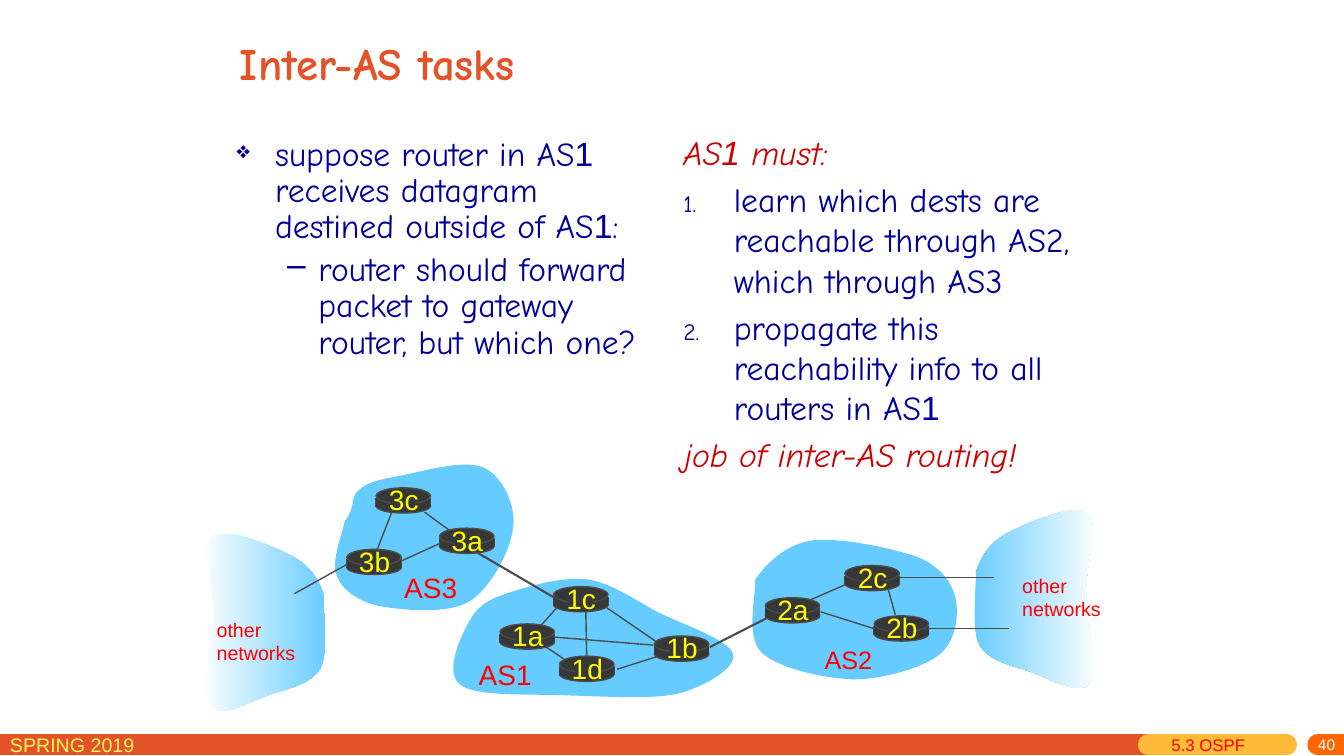
"""Builds the "Inter-AS tasks" slide, laid out on a grid of one-inch cells."""
from dataclasses import dataclass
from itertools import chain
from typing import NamedTuple

from lxml import etree
from pptx import Presentation, util as u
from pptx.dml import color as dml
from pptx.enum import shapes as kinds, text as layout
from pptx.oxml import ns

CELL = u.Inches(1)
COLUMNS, ROWS = 13.33, 7.5


@dataclass(frozen=True)
class Theme:
    heading: str = "E45327"
    body: str = "000099"
    accent: str = "CC0000"
    label: str = "FF0000"
    cloud: str = "66CCFF"
    white: str = "FFFFFF"
    router: str = "373737"
    router_label: str = "FFFF00"
    link: str = "4C4C4C"
    bar_section: str = "FFBA37"
    bar_number: str = "FF6600"
    term: str = "FFF65C"
    hand: str = "Comic Neue"
    plain: str = "Arial"
    title_size: float = 32
    body_size: float = 24
    name_size: float = 20
    small_name_size: float = 18
    note_size: float = 14
    section_size: float = 12
    number_size: float = 11
    bar_width: float = 15


THEME = Theme()


class Span(NamedTuple):
    text: str
    color: str
    size: float
    font: str = THEME.plain
    italic: bool = False
    bold: bool = False


class Item(NamedTuple):
    spans: list[Span]
    margin: float = 0
    hang: float = 0
    bullet: str = ""
    bullet_share: int = 100
    level: int = 0
    spacing: float = 1.0


class Router(NamedTuple):
    name: str
    column: float
    row: float


class Link(NamedTuple):
    start: tuple[float, float]
    end: tuple[float, float]
    width: float = 1
    color: str = THEME.link
    cap: str = "flat"


class Cloud(NamedTuple):
    points: list[tuple[float, float]]
    stops: tuple[str, ...] = (THEME.cloud,)


class Label(NamedTuple):
    lines: list[str]
    column: float
    row: float
    width: float
    height: float
    size: float = THEME.name_size
    color: str = THEME.label
    align: layout.PP_ALIGN = layout.PP_ALIGN.LEFT


def body(text: str, font: str = THEME.hand) -> Span:
    """Return a span of body text."""
    return Span(text, THEME.body, THEME.body_size, font)


def stress(text: str, font: str = THEME.hand) -> Span:
    """Return a span of stressed body text."""
    return Span(text, THEME.accent, THEME.body_size, font, italic=True)


EAST = [(9.68, 5.67), (9.74, 5.51), (9.81, 5.39), (9.99, 5.29), (10.18, 5.19), (10.65, 4.99), (10.78, 5.09),
        (10.91, 5.18), (10.77, 5.59), (10.77, 5.87), (10.78, 6.16), (10.89, 6.65), (10.8, 6.78),
        (10.71, 6.91), (10.39, 6.72), (10.21, 6.66), (10.03, 6.6), (9.8, 6.56), (9.71, 6.39),
        (9.63, 6.23), (9.69, 5.82), (9.68, 5.67)]
WEST = [(12.89 - column, row + 0.23) for column, row in EAST]
AS2 = [(7.49, 5.75), (7.6, 5.59), (7.79, 5.4), (8.06, 5.36), (8.33, 5.33), (8.87, 5.44), (9.11, 5.53),
       (9.34, 5.63), (9.45, 5.79), (9.48, 5.95), (9.51, 6.11), (9.48, 6.37), (9.31, 6.5),
       (9.14, 6.63), (8.75, 6.74), (8.46, 6.74), (8.17, 6.73), (7.71, 6.63), (7.55, 6.47),
       (7.39, 6.31), (7.5, 5.9), (7.49, 5.75)]
AS3 = [(3.42, 5.17), (3.53, 5.04), (3.47, 4.93), (3.56, 4.86), (3.65, 4.78), (3.76, 4.76), (3.97, 4.72),
       (4.18, 4.68), (4.61, 4.55), (4.8, 4.64), (4.98, 4.72), (5.12, 5.01), (5.09, 5.23),
       (5.07, 5.45), (4.87, 5.84), (4.65, 5.97), (4.42, 6.1), (3.97, 6.05), (3.75, 6.01),
       (3.54, 5.96), (3.39, 5.85), (3.34, 5.71), (3.28, 5.57), (3.4, 5.28), (3.42, 5.17)]
AS1 = [(4.68, 6.12), (4.78, 5.96), (4.95, 5.91), (5.14, 5.85), (5.34, 5.79), (5.61, 5.72), (5.84, 5.75),
       (6.07, 5.79), (6.28, 5.94), (6.52, 6.07), (6.76, 6.19), (7.24, 6.35), (7.27, 6.49),
       (7.31, 6.62), (7, 6.81), (6.73, 6.88), (6.47, 6.94), (6.03, 6.91), (5.66, 6.9),
       (5.3, 6.88), (4.72, 6.92), (4.56, 6.79), (4.4, 6.66), (4.58, 6.28), (4.68, 6.12)]
CLOUDS = [Cloud(EAST, (THEME.cloud, THEME.white)), Cloud(AS2), Cloud(AS3), Cloud(AS1),
          Cloud(WEST, (THEME.white, THEME.cloud))]
BARS = [Link((-0.18, 7.39), (11.39, 7.39), THEME.bar_width, THEME.heading, "rnd"),
        Link((11.39, 7.39), (12.76, 7.39), THEME.bar_width, THEME.bar_section, "rnd"),
        Link((13.07, 7.39), (13.6, 7.39), THEME.bar_width, THEME.bar_number, "rnd")]
LINKS = [Link((3.97, 5.57), (4.41, 5.37)), Link((4.47, 5.27), (4.21, 5.08)), Link((3.89, 5.07), (3.73, 5.48)),
         Link((5.53, 6.02), (5.37, 6.2)), Link((5.81, 6.06), (5.82, 6.56)), Link((5.99, 6.01), (6.53, 6.38)),
         Link((6.53, 6.51), (6.12, 6.64)), Link((6.48, 6.4), (5.49, 6.32)), Link((5.39, 6.4), (5.61, 6.55)),
         Link((7.95, 5.99), (8.43, 5.78)), Link((8.14, 6.07), (8.68, 6.24)), Link((8.81, 5.85), (8.88, 6.1)),
         Link((8.92, 5.73), (9.86, 5.73), 0.75), Link((9.2, 6.24), (10.01, 6.24), 0.75),
         Link((3.44, 5.6), (2.92, 5.89)), Link((7.04, 6.42), (7.61, 6.13), 1.5), Link((4.73, 5.48), (5.5, 5.93), 1.5)]
ROUTERS = [Router("3b", 3.44, 5.45), Router("3c", 3.73, 4.84), Router("3a", 4.36, 5.24),
           Router("1c", 5.49, 5.82), Router("1a", 4.96, 6.19), Router("1d", 5.55, 6.51), Router("1b", 6.49, 6.31),
           Router("2a", 7.59, 5.93), Router("2c", 8.38, 5.61), Router("2b", 8.67, 6.11)]
LABELS = [Label(["AS3"], 3.91, 5.61, 0.73, 0.43), Label(["AS1"], 4.65, 6.47, 0.73, 0.43),
          Label(["AS2"], 8.08, 6.34, 0.67, 0.4, THEME.small_name_size),
          Label(["other", "networks"], 10.04, 5.64, 0.99, 0.57, THEME.note_size),
          Label(["other", "networks"], 2.05, 6.08, 0.99, 0.57, THEME.note_size),
          Label(["SPRING 2019"], 0, 7.22, 2.29, 0.31, THEME.note_size, THEME.term),
          Label(["5.3 OSPF"], 11.52, 7.24, 1.05, 0.31, THEME.section_size)]
PROBLEM = [Item([body("suppose router in AS"), body("1", THEME.plain), body(" receives datagram destined outside of AS"),
                 body("1", THEME.plain), body(":")], 0.38, 0.38, "❖", 70, spacing=0.9),
           Item([body("router should forward packet to gateway router, but which one?")], 0.81, 0.31, "–", 100, 1, 0.9)]
TASKS = [Item([stress("AS"), stress("1", THEME.plain), stress(" must:")], 0.5, 0.5),
         Item([body("learn which dests are reachable through AS2, which through AS3")], 0.5, 0.5, "1.", 70),
         Item([body("propagate this reachability info to all routers in AS"), body("1", THEME.plain)], 0.5, 0.5, "1.", 70),
         Item([stress("job of inter-AS routing!")], 0.5, 0.5)]


def cells(*counts: float) -> list[int]:
    """Turn counts of grid cells into lengths."""
    return [round(count * CELL) for count in counts]


def write(para, spans: list[Span]) -> None:
    """Add spans to a paragraph run by run."""
    for span in spans:
        run = para.add_run()
        run.text, font = span.text, run.font
        font.name, font.size, font.italic, font.bold = span.font, u.Pt(span.size), span.italic, span.bold
        font.color.rgb = dml.RGBColor.from_string(span.color)


def add_items(page, items: list[Item], *area: float) -> None:
    """Add a wrapped text box of list items."""
    frame = page.shapes.add_textbox(*cells(*area)).text_frame
    frame.word_wrap = True
    for index, item in enumerate(items):
        para = frame.add_paragraph() if index else frame.paragraphs[0]
        properties = para._p.get_or_add_pPr()
        properties.set("marL", str(cells(item.margin)[0]))
        properties.set("indent", str(cells(-item.hang)[0]))
        if item.bullet:
            etree.SubElement(properties, ns.qn("a:buSzPct"), val=str(item.bullet_share * 1000))
            numbered = item.bullet == "1."
            tag, key, value = ("a:buAutoNum", "type", "arabicPeriod") if numbered else ("a:buChar", "char", item.bullet)
            etree.SubElement(properties, ns.qn(tag)).set(key, value)
        para.level, para.line_spacing = item.level, item.spacing
        para.space_before = u.Pt(0.2 * THEME.body_size if index else 0)
        write(para, item.spans)


def add_label(group, label: Label):
    """Add a short unwrapped label and return its text frame."""
    frame = group.add_textbox(*cells(label.column, label.row, label.width, label.height)).text_frame
    frame.word_wrap = False
    for index, line in enumerate(label.lines):
        para = frame.add_paragraph() if index else frame.paragraphs[0]
        para.alignment = label.align
        write(para, [Span(line, label.color, label.size)])
    return frame


def add_link(group, link: Link) -> None:
    """Add a straight line without a shadow."""
    line = group.add_connector(kinds.MSO_CONNECTOR.STRAIGHT, *cells(*link.start, *link.end))
    line.line.width = u.Pt(link.width)
    line.line.color.rgb = dml.RGBColor.from_string(link.color)
    properties = line.element.spPr
    properties.find(ns.qn("a:ln")).set("cap", link.cap)
    etree.SubElement(properties, ns.qn("a:effectLst"))


def add_cloud(page, cloud: Cloud) -> None:
    """Add a closed outline of cubic curves."""
    first, *others = [tuple(cells(*point)) for point in cloud.points]
    shape = page.shapes.build_freeform(*first).add_line_segments(others).convert_to_shape()
    segments = list(shape.element.iter(ns.qn("a:lnTo")))
    for first_control, second_control, anchor in zip(*[iter(segments)] * 3):
        first_control.tag = ns.qn("a:cubicBezTo")
        first_control.extend(list(chain(second_control, anchor)))
        for spent in (second_control, anchor):
            spent.getparent().remove(spent)
    shape.shadow.inherit = False
    shape.line.fill.background()
    if len(cloud.stops) == 1:
        shape.fill.solid()
        shape.fill.fore_color.rgb = dml.RGBColor.from_string(cloud.stops[0])
        return
    shape.fill.gradient()
    shape.fill.gradient_angle = 0
    for position, (stop, tint) in enumerate(zip(shape.fill.gradient_stops, cloud.stops)):
        stop.position, stop.color.rgb = position, dml.RGBColor.from_string(tint)


def add_router(page, router: Router) -> None:
    """Add a grouped router drum with its name."""
    group = page.shapes.add_group_shape().shapes
    left, top = router.column, router.row
    oval, block = kinds.MSO_SHAPE.OVAL, kinds.MSO_SHAPE.RECTANGLE
    parts = [(oval, 0, 0.11, 0.54, 0.14), (block, 0, 0.1, 0.54, 0.09),
             (oval, 0, 0, 0.54, 0.16), (block, 0.15, 0.02, 0.24, 0.2)]
    for side in (left, left + 0.54):
        add_link(group, Link((side, top + 0.1), (side, top + 0.19)))
    for kind, column, row, width, height in parts:
        shape = group.add_shape(kind, *cells(left + column, top + row, width, height))
        shape.shadow.inherit = False
        shape.fill.solid()
        shape.fill.fore_color.rgb = dml.RGBColor.from_string(THEME.router)
        if kind == oval:
            shape.line.width = u.Pt(1)
            shape.line.color.rgb = dml.RGBColor.from_string(THEME.link)
        else:
            shape.line.fill.background()
    add_label(group, Label([router.name], left + 0.02, top - 0.1, 0.51, 0.43,
                           color=THEME.router_label, align=layout.PP_ALIGN.CENTER))


def add_title(page) -> None:
    """Place and format the title."""
    title = page.shapes.title
    title.left, title.top, title.width, title.height = cells(2.28, 0, 3.61, 1.25)
    frame = title.text_frame
    frame.auto_size, frame.vertical_anchor = layout.MSO_AUTO_SIZE.NONE, layout.MSO_ANCHOR.MIDDLE
    frame.paragraphs[0].alignment = layout.PP_ALIGN.LEFT
    write(frame.paragraphs[0], [Span("Inter-AS tasks", THEME.heading, THEME.title_size, THEME.hand, bold=True)])


def main() -> None:
    """Build and save the deck."""
    deck = Presentation()
    deck.slide_width, deck.slide_height = cells(COLUMNS, ROWS)
    page = deck.slides.add_slide(deck.slide_layouts[5])
    add_title(page)
    add_items(page, PROBLEM, 2.25, 1.31, 4.17, 3.19)
    add_items(page, TASKS, 6.68, 1.26, 4.17, 5.08)
    for cloud in CLOUDS:
        add_cloud(page, cloud)
    for link in BARS + LINKS:
        add_link(page.shapes, link)
    for router in ROUTERS:
        add_router(page, router)
    for label in LABELS:
        add_label(page.shapes, label)
    number = add_label(page.shapes, Label(["40"], 10.75, 7.32, 2.59, 0.18, THEME.number_size,
                                          THEME.white, layout.PP_ALIGN.RIGHT))
    number.word_wrap, number.vertical_anchor = True, layout.MSO_ANCHOR.MIDDLE
    number.margin_top, number.margin_bottom = cells(0, 0.05)
    deck.save("out.pptx")


if __name__ == "__main__":
    main()
